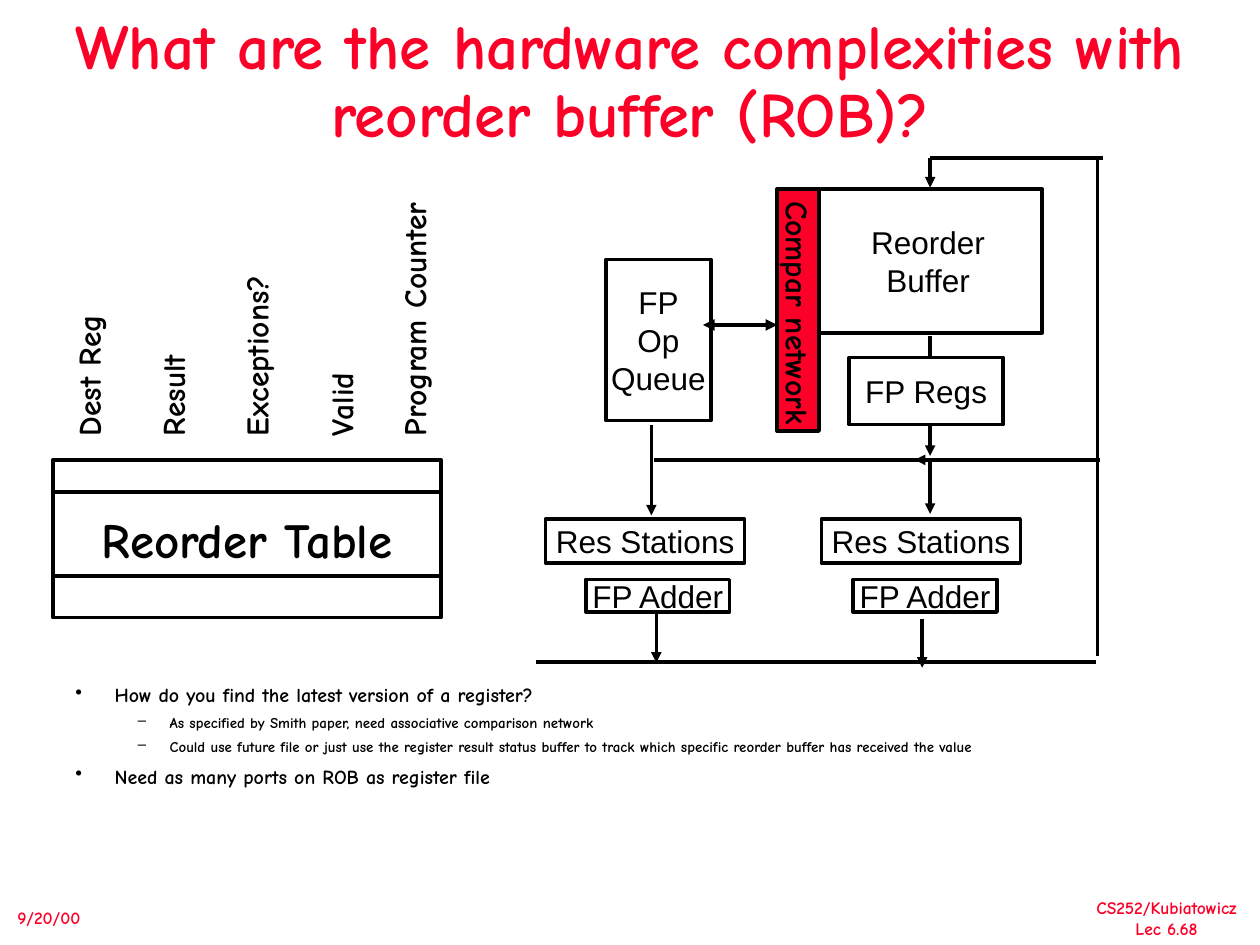
from dataclasses import dataclass

from lxml.etree import SubElement
from pptx import Presentation
from pptx.dml.color import RGBColor
from pptx.enum.shapes import MSO_CONNECTOR as Connector, MSO_SHAPE as Preset
from pptx.enum.text import MSO_ANCHOR as Anchor, PP_ALIGN as Align
from pptx.oxml.ns import qn
from pptx.util import Cm, Pt


@dataclass(frozen=True)
class Theme:
    red: RGBColor = RGBColor(0xFC, 0x01, 0x28)
    black: RGBColor = RGBColor(0, 0, 0)
    white: RGBColor = RGBColor(255, 255, 255)
    hand: str = "Comic Neue"
    plain: str = "Arial"
    title: float = 36
    table: float = 28
    label: float = 18
    point: float = 11.4
    detail: float = 8.5
    footer: float = 10
    thin: float = 2
    thick: float = 2.25


THEME = Theme()


def write(frame, text, font=THEME.hand, size=THEME.label, color=THEME.black,
          bold=True, align=Align.LEFT, anchor=Anchor.TOP, spacing=None, wrap=False):
    frame.word_wrap = wrap
    frame.vertical_anchor = anchor
    frame.margin_left = frame.margin_right = Cm(0.25)
    frame.margin_top = frame.margin_bottom = Cm(0.13)
    for index, line in enumerate(text.split("\n")):
        paragraph = frame.paragraphs[0] if index == 0 else frame.add_paragraph()
        paragraph.alignment = align
        if spacing:
            paragraph.line_spacing = spacing
        run = paragraph.add_run()
        run.text = line
        run.font.name = font
        run.font.size = Pt(size)
        run.font.bold = bold
        run.font.color.rgb = color


def add_text(slide, text, left, top, width, height, **format):
    shape = slide.shapes.add_textbox(Cm(left), Cm(top), Cm(width), Cm(height))
    write(shape.text_frame, text, **format)
    return shape


def add_box(slide, text, left, top, width, height, fill=THEME.white,
            line_width=THEME.thin, font=THEME.plain, bold=False, **format):
    shape = slide.shapes.add_shape(
        Preset.RECTANGLE, Cm(left), Cm(top), Cm(width), Cm(height))
    shape.shadow.inherit = False
    if fill is None:
        shape.fill.background()
    else:
        shape.fill.solid()
        shape.fill.fore_color.rgb = fill
    shape.line.color.rgb = THEME.black
    shape.line.width = Pt(line_width)
    write(shape.text_frame, text, font=font, bold=bold,
          align=Align.CENTER, anchor=Anchor.MIDDLE, **format)
    return shape


def add_line(slide, start_x, start_y, end_x, end_y, ends=(), width=THEME.thin):
    connector = slide.shapes.add_connector(
        Connector.STRAIGHT, Cm(start_x), Cm(start_y), Cm(end_x), Cm(end_y))
    connector.line.color.rgb = THEME.black
    connector.line.width = Pt(width)
    properties = connector.element.spPr
    outline = properties.find(qn("a:ln"))
    for end in ends:
        SubElement(outline, qn(f"a:{end}"), type="triangle")
    SubElement(properties, qn("a:effectLst"))


def add_comparison_network(slide):
    shape = add_box(slide, "Compar network", 15.67, 3.81, 0.84, 4.88, fill=THEME.red,
                    line_width=THEME.thick, font=THEME.hand, bold=True)
    frame = shape.text_frame
    frame.margin_left = frame.margin_right = Cm(0.13)
    frame.margin_top = frame.margin_bottom = Cm(0.25)
    shape.element.txBody.find(qn("a:bodyPr")).set("vert", "eaVert")


def add_datapath(slide):
    add_box(slide, "Reorder\nBuffer", 16.41, 3.81, 4.6, 2.9)
    add_box(slide, "FP\nOp\nQueue", 12.22, 5.23, 2.11, 3.25)
    for station_left, adder_left in ((11, 11.81), (16.56, 17.2)):
        add_box(slide, "Res Stations", station_left, 10.46, 4.01, 0.89)
        add_box(slide, "FP Adder", adder_left, 11.68, 2.9, 0.66)

    bus_x, buffer_x, operand_y = 22.12, 18.75, 9.27
    for line in ((10.8, 13.34, 22.1, 13.34),
                 (bus_x, 3.2, bus_x, 13.23),
                 (22.23, 3.18, buffer_x, 3.18),
                 (13.18, operand_y, 18.57, operand_y)):
        add_line(slide, *line)
    for arrow in ((buffer_x, 3.18, buffer_x, 3.78),
                  (13.23, 12.37, 13.23, 13.36),
                  (18.59, 12.47, 18.59, 13.46),
                  (13.13, 8.56, 13.13, 10.39),
                  (buffer_x, 9.32, buffer_x, 10.36),
                  (buffer_x, 6.78, buffer_x, 9.19),
                  (22.17, operand_y, 18.44, operand_y)):
        add_line(slide, *arrow, ends=["tailEnd"])

    add_box(slide, "FP Regs", 17.12, 7.21, 3.1, 1.35)
    add_comparison_network(slide)
    add_line(slide, 14.17, 6.55, 15.67, 6.55,
             ends=["headEnd", "tailEnd"], width=THEME.thick)


def add_reorder_table(slide):
    left, width = 1.07, 7.82
    add_box(slide, "Reorder Table", left, 9.27, width, 3.18, fill=None,
            line_width=THEME.thick, font=THEME.hand, bold=True, size=THEME.table)
    for y in (9.91, 11.61):
        add_line(slide, left, y, left + width, y, width=THEME.thick)

    bottom, height = 9.04, 1.02
    for text, center, length in (("Dest Reg", 1.78, 3.1),
                                 ("Result", 3.48, 2.4),
                                 ("Exceptions?", 5.16, 3.9),
                                 ("Valid", 6.87, 2),
                                 ("Program Counter", 8.34, 5.4)):
        label = add_text(slide, text, center - length / 2,
                         bottom - (length + height) / 2, length, height,
                         anchor=Anchor.MIDDLE, wrap=True)
        label.rotation = 270


def add_bullets(slide, items):
    shape = add_text(slide, "\n".join(text for _, text in items),
                     1.27, 13.77, 23.5, 2.11, spacing=0.7, wrap=True)
    styles = (("•", 0.79, 0.79, 9, THEME.point),
              ("–", 1.9, 0.64, 6.8, THEME.detail))
    for paragraph, (level, _) in zip(shape.text_frame.paragraphs, items):
        mark, margin, hanging, before, size = styles[level]
        paragraph.level = level
        paragraph.space_before = Pt(before)
        paragraph.runs[0].font.size = Pt(size)
        properties = paragraph._p.get_or_add_pPr()
        properties.set("marL", str(Cm(margin)))
        properties.set("indent", str(-Cm(hanging)))
        SubElement(properties, qn("a:buChar"), char=mark)


def main():
    presentation = Presentation()
    presentation.slide_width = Cm(25.4)
    presentation.slide_height = Cm(19.05)
    slide = presentation.slides.add_slide(presentation.slide_layouts[6])

    add_text(slide, "CS252/Kubiatowicz\nLec 6.68", 21.84, 17.96, 3.35, 1.09,
             size=THEME.footer, color=THEME.red, align=Align.CENTER)
    add_text(slide, "9/20/00", 0.1, 18.16, 1.78, 0.69,
             size=THEME.footer, color=THEME.red)
    add_text(slide, "What are the hardware complexities with reorder buffer (ROB)?",
             0, 0.38, 25.4, 2.59, size=THEME.title, color=THEME.red,
             align=Align.CENTER, anchor=Anchor.MIDDLE, spacing=0.9, wrap=True)
    add_datapath(slide)
    add_bullets(slide, (
        (0, "How do you find the latest version of a register?"),
        (1, "As specified by Smith paper, need associative comparison network"),
        (1, "Could use future file or just use the register result status buffer "
            "to track which specific reorder buffer has received the value"),
        (0, "Need as many ports on ROB as register file"),
    ))
    add_reorder_table(slide)
    presentation.save("out.pptx")


if __name__ == "__main__":
    main()
